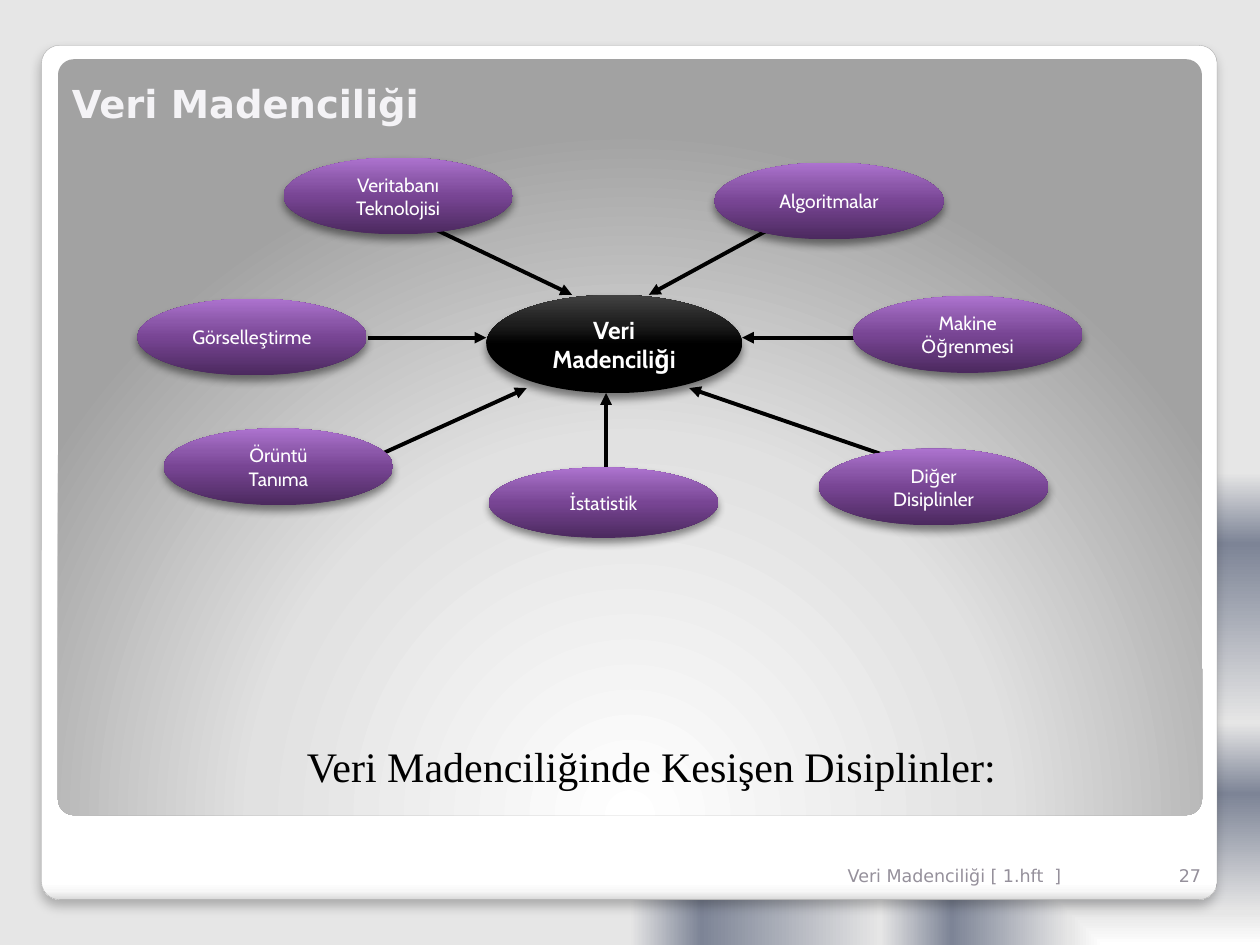
from dataclasses import dataclass

import pptx
import pptx.dml.color
import pptx.enum.shapes
import pptx.enum.text
import pptx.oxml
import pptx.oxml.ns
import pptx.util

Inches = pptx.util.Inches
Align = pptx.enum.text.PP_ALIGN
Anchor = pptx.enum.text.MSO_ANCHOR
Preset = pptx.enum.shapes.MSO_SHAPE
qn = pptx.oxml.ns.qn
NAMESPACE = pptx.oxml.ns.nsdecls("a")


@dataclass(frozen=True)
class Gradient:
    stops: tuple
    angle: int = 0
    path_kind: str = ""
    focus: tuple = ()  # left, top, right, bottom in percent


@dataclass(frozen=True)
class Shadow:
    alpha: int
    blur: int
    distance: int


@dataclass(frozen=True)
class TextStyle:
    font: str
    size: int
    color: str
    bold: bool = False


@dataclass(frozen=True)
class Theme:
    background = Gradient(((0, "FFFFFF"), (7, "E6E6E6"), (32, "7D8496"), (47, "E6E6E6"),
                           (85, "7D8496"), (100, "E6E6E6")),
                          path_kind="rect", focus=(100, 100, 0, 0))
    frame = Gradient(((0, "FFFFFF"), (98, "FFFFFF"), (99, "F7F7F7"), (100, "DADADA")), 90)
    panel = Gradient(((0, "FFFFFF"), (55, "E1E1E1"), (100, "A2A2A2")),
                     path_kind="circle", focus=(50, 175, 50, -75))
    hub = Gradient(((0, "000000"), (50, "000000"), (70, "1D1D1D"), (100, "424242")), 270)
    field = Gradient(((0, "4B295E"), (50, "784594"), (70, "8C58AA"), (100, "AD73CF")), 270)
    frame_shadow = Shadow(25, 6, 4)
    oval_shadow = Shadow(45, 5, 3)
    frame_line = "A4A4A4"
    arrow = "000000"
    title = TextStyle("DejaVu Sans", 22, "F4F3F6", True)
    caption = TextStyle("Times New Roman", 24, "000000")
    footer = TextStyle("DejaVu Sans", 10, "95909B")
    hub_text = TextStyle("Cabin", 14, "FFFFFF", True)
    field_text = TextStyle("Cabin", 11, "FFFFFF")


@dataclass(frozen=True)
class Discipline:
    """An oval around the hub, and the two ends of its arrow."""
    text: str
    left: float
    top: float
    start: tuple
    end: tuple
    height: float = 0.61


THEME = Theme()
OVAL_WIDTH = 1.82
DISCIPLINES = (
    Discipline("Veritabanı\vTeknolojisi", 2.25, 1.25, (3.39, 1.79), (4.54, 2.34)),
    Discipline("İstatistik", 3.88, 3.71, (4.81, 3.73), (4.81, 3.12), 0.56),
    Discipline("Makine\nÖğrenmesi", 6.77, 2.35, (6.84, 2.68), (5.89, 2.68)),
    Discipline("Örüntü\vTanıma", 1.3, 3.4, (2.99, 3.62), (4.18, 3.08)),
    Discipline("Algoritmalar", 5.67, 1.29, (6.16, 1.79), (5.15, 2.34)),
    Discipline("Diğer\vDisiplinler", 6.5, 3.56, (7.04, 3.62), (5.47, 3.08)),
    Discipline("Görselleştirme", 1.09, 2.37, (2.92, 2.68), (3.86, 2.68)),
)


def rgb(color: str) -> pptx.dml.color.RGBColor:
    return pptx.dml.color.RGBColor.from_string(color)


def apply_gradient(fill, holder, gradient: Gradient) -> None:
    """Give fill, whose XML lies under holder, the stops and direction of gradient."""
    fill.gradient()
    stops = "".join(f'<a:gs pos="{place * 1000}"><a:srgbClr val="{color}"/></a:gs>'
                    for place, color in gradient.stops)
    if gradient.path_kind:
        left, top, right, bottom = (side * 1000 for side in gradient.focus)
        direction = (f'<a:path path="{gradient.path_kind}"><a:fillToRect l="{left}" '
                     f't="{top}" r="{right}" b="{bottom}"/></a:path>')
    else:
        direction = f'<a:lin ang="{gradient.angle * 60000}" scaled="0"/>'
    old = next(holder.iter(qn("a:gradFill")))
    old.getparent().replace(old, pptx.oxml.parse_xml(
        f'<a:gradFill {NAMESPACE} rotWithShape="1"><a:gsLst>{stops}</a:gsLst>'
        f'{direction}</a:gradFill>'))


def apply_shadow(shape, shadow: Shadow) -> None:
    effects = next(shape.element.iter(qn("a:effectLst")))
    effects.append(pptx.oxml.parse_xml(
        f'<a:outerShdw {NAMESPACE} blurRad="{pptx.util.Pt(shadow.blur)}" '
        f'dist="{pptx.util.Pt(shadow.distance)}" dir="5400000" rotWithShape="0">'
        f'<a:srgbClr val="000000"><a:alpha val="{shadow.alpha * 1000}"/></a:srgbClr>'
        f'</a:outerShdw>'))


def write_text(box, text: str, style: TextStyle, align, anchor, wrap: bool = True) -> None:
    frame = box.text_frame
    frame.word_wrap = wrap
    frame.vertical_anchor = anchor
    frame.text = text
    for para in frame.paragraphs:
        para.alignment = align
        para.font.name = style.font
        para.font.size = pptx.util.Pt(style.size)
        para.font.bold = style.bold
        para.font.color.rgb = rgb(style.color)


def add_filled_shape(page, preset, bounds: tuple, gradient: Gradient, shadow=None):
    shape = page.shapes.add_shape(preset, *map(Inches, bounds))
    apply_gradient(shape.fill, shape.element, gradient)
    shape.line.fill.background()
    shape.shadow.inherit = False
    if shadow:
        apply_shadow(shape, shadow)
    return shape


def add_panel(page, bounds: tuple, gradient: Gradient, shadow=None):
    panel = add_filled_shape(page, Preset.ROUNDED_RECTANGLE, bounds, gradient, shadow)
    panel.adjustments[0] = 0.021
    return panel


def add_oval(page, bounds: tuple, gradient: Gradient, text: str, style: TextStyle) -> None:
    oval = add_filled_shape(page, Preset.OVAL, bounds, gradient, THEME.oval_shadow)
    write_text(oval, text, style, Align.CENTER, Anchor.MIDDLE, wrap=False)


def add_arrow(page, start: tuple, end: tuple) -> None:
    arrow = page.shapes.add_connector(pptx.enum.shapes.MSO_CONNECTOR.STRAIGHT,
                                      *map(Inches, start + end))
    arrow.line.color.rgb = rgb(THEME.arrow)
    arrow.line.width = pptx.util.Pt(2.25)
    next(arrow.element.iter(qn("a:ln"))).append(
        pptx.oxml.parse_xml(f'<a:tailEnd {NAMESPACE} type="triangle"/>'))
    arrow.element.spPr.append(pptx.oxml.parse_xml(f"<a:effectLst {NAMESPACE}/>"))


def add_label(page, bounds: tuple, text: str, style: TextStyle, align, anchor):
    label = page.shapes.add_textbox(*map(Inches, bounds))
    write_text(label, text, style, align, anchor)
    return label


def place_title(page, bounds: tuple, text: str) -> None:
    """Fill the title and bring it in front of the panels."""
    title = page.shapes.title
    title.left, title.top, title.width, title.height = map(Inches, bounds)
    write_text(title, text, THEME.title, Align.LEFT, Anchor.BOTTOM)
    title.element.getparent().append(title.element)


def main() -> None:
    deck = pptx.Presentation()
    deck.slide_width, deck.slide_height = Inches(10), Inches(7.5)
    page = deck.slides.add_slide(deck.slide_layouts[5])
    apply_gradient(page.background.fill, page.element, THEME.background)

    frame = add_panel(page, (0.33, 0.36, 9.33, 6.78), THEME.frame, THEME.frame_shadow)
    frame.line.color.rgb = rgb(THEME.frame_line)
    frame.line.width = pptx.util.Pt(0.16)
    add_panel(page, (0.46, 0.47, 9.08, 6), THEME.panel)

    place_title(page, (0.47, 0.47, 8.95, 0.58), "Veri Madenciliği")
    caption = add_label(page, (1.8, 5.78, 6.64, 0.55), "Veri Madenciliğinde Kesişen Disiplinler:",
                        THEME.caption, Align.CENTER, Anchor.TOP)
    caption.text_frame.margin_left = Inches(0.2)
    caption.text_frame.margin_top = Inches(0.1)
    add_label(page, (9.13, 6.68, 0.5, 0.4), "27", THEME.footer, Align.RIGHT, Anchor.BOTTOM)
    add_label(page, (6.63, 6.68, 2.5, 0.4), "Veri Madenciliği [ 1.hft  ]",
              THEME.footer, Align.LEFT, Anchor.BOTTOM)

    add_oval(page, (3.86, 2.34, 2.03, 0.78), THEME.hub, "Veri\vMadenciliği", THEME.hub_text)
    for item in DISCIPLINES:
        add_arrow(page, item.start, item.end)
    for item in DISCIPLINES:
        add_oval(page, (item.left, item.top, OVAL_WIDTH, item.height),
                 THEME.field, item.text, THEME.field_text)
    deck.save("out.pptx")


if __name__ == "__main__":
    main()
